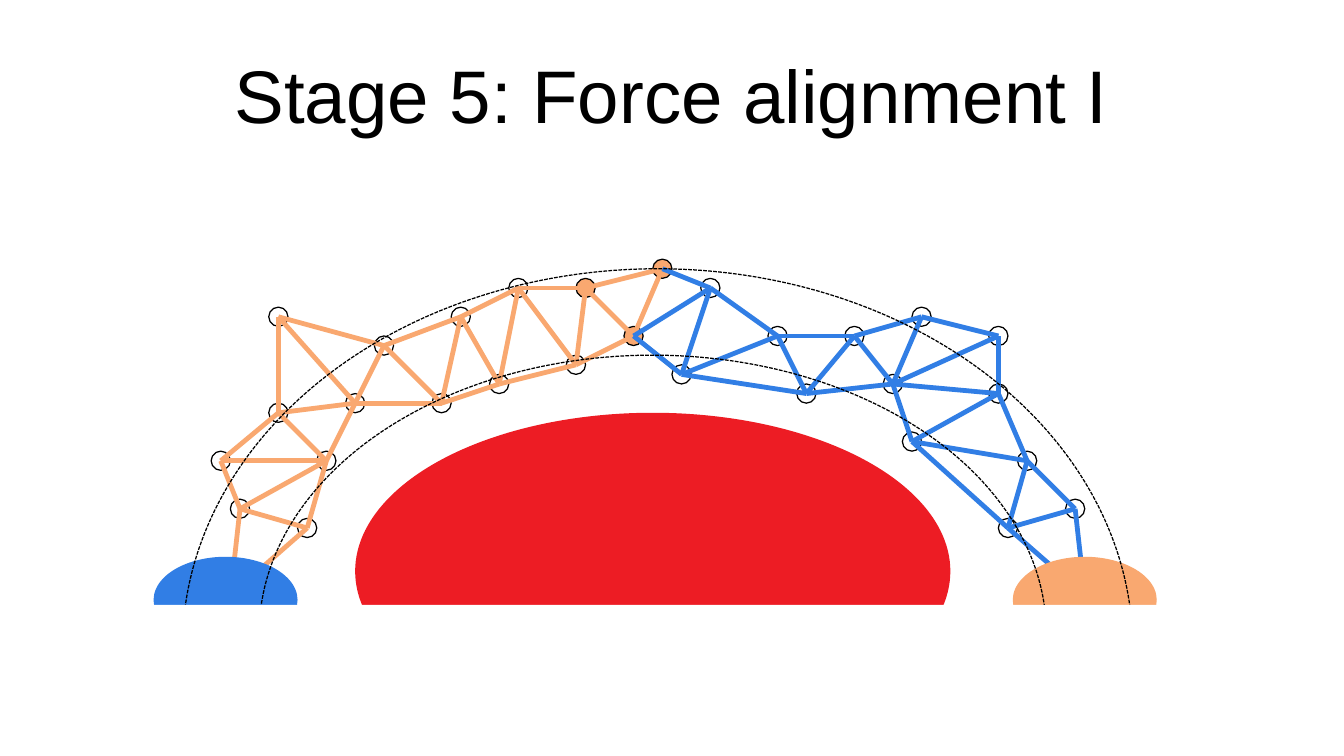
import dataclasses
import itertools
import typing

import lxml.etree
import pptx
import pptx.dml.color
import pptx.enum.dml
import pptx.enum.shapes
import pptx.enum.text
import pptx.oxml.ns
import pptx.util

Cm = pptx.util.Cm
Pt = pptx.util.Pt
MSO_SHAPE = pptx.enum.shapes.MSO_SHAPE

COLOURS = {"white": "FFFFFF", "black": "000000", "red": "ED1C24",
           "orange": "F9A870", "blue": "317EE5"}
JOINT_SIZE = 0.4


@dataclasses.dataclass(frozen=True)
class Joint:
    x: float
    y: float
    steps_back: tuple[int, ...] = (1, 2)
    fill: typing.Optional[str] = "white"


@dataclasses.dataclass(frozen=True)
class Truss:
    colour: str
    joints: list[Joint]


@dataclasses.dataclass(frozen=True)
class Block:
    left: float
    top: float
    width: float
    height: float
    fill: typing.Optional[str] = None
    line: typing.Optional[str] = None
    dashed: bool = False
    kind: MSO_SHAPE = MSO_SHAPE.OVAL


LEFT_TRUSS = Truss("orange", [
    Joint(4.8, 12.4, (), None),
    Joint(6.4, 11, (1,)),
    Joint(5, 10.6),
    Joint(6.8, 9.6),
    Joint(4.6, 9.6),
    Joint(5.8, 8.6),
    Joint(7.4, 8.4, (1, 3)),
    Joint(5.8, 6.6),
    Joint(8, 7.2),
    Joint(9.2, 8.4, (1, 3)),
    Joint(9.6, 6.6),
    Joint(10.4, 8),
    Joint(10.8, 6),
    Joint(12, 7.6),
    Joint(12.2, 6, fill="orange"),
    Joint(13.2, 7, fill="orange"),
    Joint(13.8, 5.6, fill="orange"),
])
RIGHT_TRUSS = Truss("blue", [
    Joint(22.6, 12.4, (), None),
    Joint(22.4, 10.6, (1,)),
    Joint(21, 11),
    Joint(21.4, 9.6),
    Joint(19, 9.2),
    Joint(20.8, 8.2),
    Joint(18.6, 8),
    Joint(20.8, 7),
    Joint(19.2, 6.6),
    Joint(17.8, 7, (1, 3)),
    Joint(16.8, 8.2, (1, 4)),
    Joint(16.2, 7),
    Joint(14.2, 7.8),
    Joint(14.8, 6),
    Joint(13.2, 7, fill=None),
    Joint(13.8, 5.6, (2,), None),
])
TRUSSES = [LEFT_TRUSS, RIGHT_TRUSS]
OBSTACLE = Block(7.4, 8.6, 12.4, 6.6, "red")
FOREGROUND = [
    Block(3.2, 11.6, 3, 1.8, "blue"),
    Block(21.1, 11.6, 3, 1.8, "orange"),
    Block(5.4, 7.4, 16.4, 11.6, line="black", dashed=True),
    Block(3.8, 5.6, 19.8, 15.8, line="black", dashed=True),
    Block(1.4, 12.6, 26.2, 5.2, "white", kind=MSO_SHAPE.RECTANGLE),
]


def rgb(name: str) -> pptx.dml.color.RGBColor:
    return pptx.dml.color.RGBColor.from_string(COLOURS[name])


def draw_block(slide: pptx.slide.Slide, block: Block) -> None:
    shape = slide.shapes.add_shape(block.kind, Cm(block.left), Cm(block.top),
                                   Cm(block.width), Cm(block.height))
    shape.shadow.inherit = False
    if block.fill:
        shape.fill.solid()
        shape.fill.fore_color.rgb = rgb(block.fill)
    else:
        shape.fill.background()
    if block.line:
        shape.line.color.rgb = rgb(block.line)
        shape.line.width = Pt(0)
    else:
        shape.line.fill.background()
    if block.dashed:
        shape.line.dash_style = pptx.enum.dml.MSO_LINE.SQUARE_DOT


def draw_joint(slide: pptx.slide.Slide, joint: Joint) -> None:
    half = JOINT_SIZE / 2
    draw_block(slide, Block(joint.x - half, joint.y - half, JOINT_SIZE,
                            JOINT_SIZE, joint.fill, "black"))


def draw_beam(slide: pptx.slide.Slide, start: Joint, end: Joint, colour: str) -> None:
    connector = slide.shapes.add_connector(
        pptx.enum.shapes.MSO_CONNECTOR.STRAIGHT,
        Cm(start.x), Cm(start.y), Cm(end.x), Cm(end.y))
    connector.line.color.rgb = rgb(colour)
    connector.line.width = Pt(2.83)
    properties = connector._element.spPr
    lxml.etree.SubElement(properties, pptx.oxml.ns.qn("a:effectLst"))


def draw_beams(slide: pptx.slide.Slide, truss: Truss) -> None:
    for index, joint in enumerate(truss.joints):
        for step in joint.steps_back:
            draw_beam(slide, truss.joints[index - step], joint, truss.colour)


def write_title(slide: pptx.slide.Slide, text: str) -> None:
    title = slide.shapes.title
    title.left, title.top = Cm(1.4), Cm(0.63)
    title.width, title.height = Cm(25.2), Cm(2.63)
    frame = title.text_frame
    frame.margin_left = frame.margin_right = 0
    frame.margin_top = frame.margin_bottom = 0
    frame.word_wrap = True
    frame.auto_size = pptx.enum.text.MSO_AUTO_SIZE.SHAPE_TO_FIT_TEXT
    frame.vertical_anchor = pptx.enum.text.MSO_ANCHOR.MIDDLE
    paragraph = frame.paragraphs[0]
    paragraph.alignment = pptx.enum.text.PP_ALIGN.CENTER
    run = paragraph.add_run()
    run.text = text
    run.font.name = "Arial"
    run.font.size = Pt(44)
    run.font.color.rgb = rgb("black")


def main() -> None:
    presentation = pptx.Presentation()
    presentation.slide_width = Cm(28)
    presentation.slide_height = Cm(15.75)
    slide = presentation.slides.add_slide(presentation.slide_layouts[5])
    write_title(slide, "Stage 5: Force alignment I")
    draw_block(slide, OBSTACLE)
    for joint in itertools.chain.from_iterable(truss.joints for truss in TRUSSES):
        if joint.fill:
            draw_joint(slide, joint)
    for truss in TRUSSES:
        draw_beams(slide, truss)
    for block in FOREGROUND:
        draw_block(slide, block)
    presentation.save("out.pptx")


if __name__ == "__main__":
    main()
